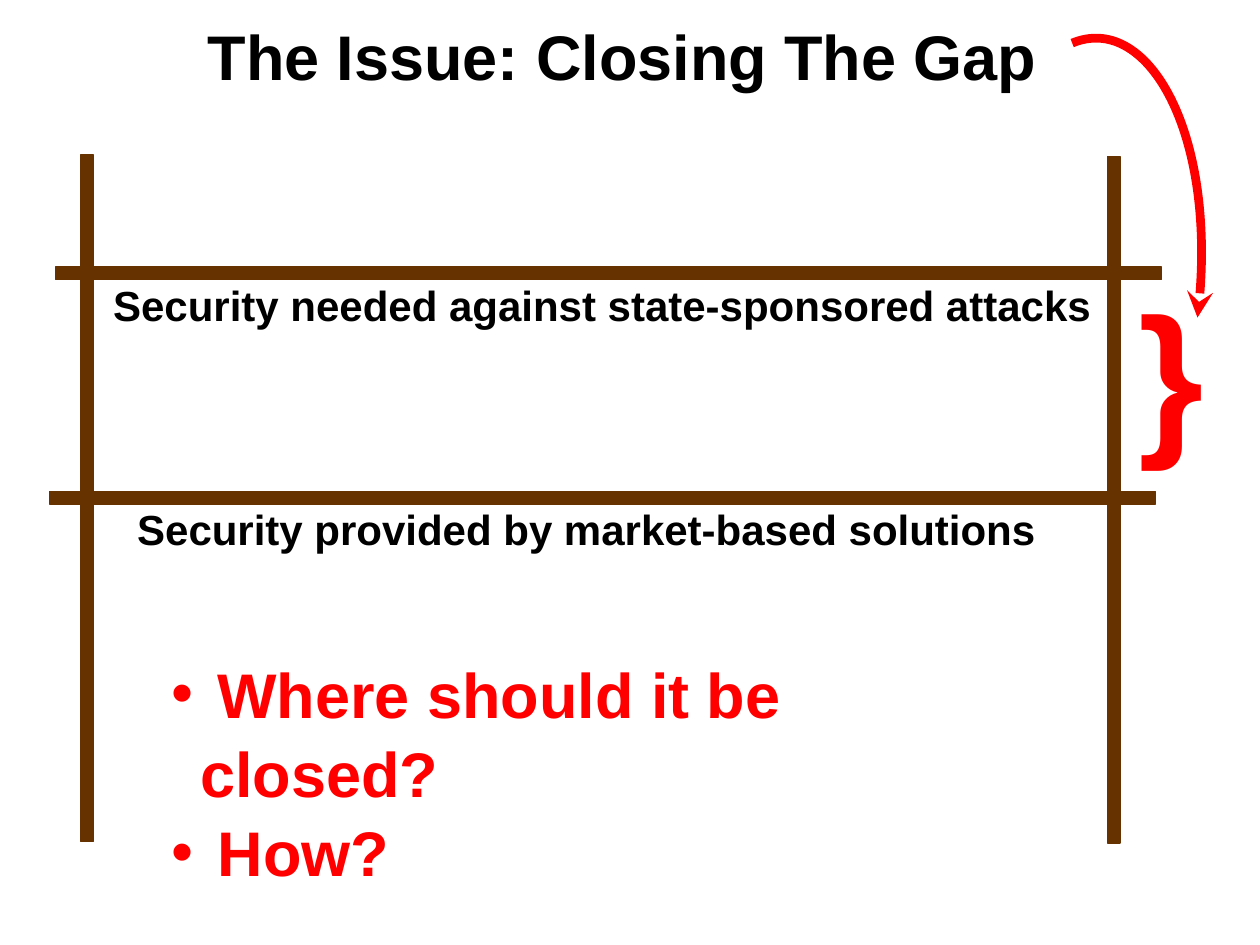
"""Build the slide on closing the security gap."""
from lxml import etree
from pptx import Presentation, util as u
from pptx.dml.color import RGBColor
from pptx.enum import shapes, text
from pptx.oxml.ns import qn

BLACK = RGBColor(0x00, 0x00, 0x00)
RED = RGBColor(0xFF, 0x00, 0x00)
BROWN = RGBColor(0x66, 0x33, 0x00)
CELL = u.Inches(0.1)
BAR = 1


def place(sp, box):
    """Set a shape to a box of grid columns and rows."""
    for name, cells in zip(("left", "top", "width", "height"), box):
        setattr(sp, name, int(cells * CELL))


def write(sp, lines, size, color, **paragraph):
    """Fill a shape with bold lines and format every paragraph."""
    tf = sp.text_frame
    tf.word_wrap = True
    tf.text = "\n".join(lines)
    for p in tf.paragraphs:
        for name, value in paragraph.items():
            setattr(p, name, value)
        r = p.runs[0]
        for name, value in {"name": "Arial", "size": u.Pt(size), "bold": True}.items():
            setattr(r.font, name, value)
        r.font.color.rgb = color
    return tf


def add_text(s, box, lines, size, color, **paragraph):
    """Add a text box at a grid box."""
    sp = s.shapes.add_textbox(0, 0, 0, 0)
    place(sp, box)
    return write(sp, lines, size, color, **paragraph)


def add_title(s, box):
    """Move and format the title placeholder."""
    sp = s.shapes.title
    place(sp, box)
    tf = write(sp, ["The Issue: Closing The Gap"], 36, BLACK,
               alignment=text.PP_ALIGN.CENTER)
    tf.vertical_anchor = text.MSO_ANCHOR.MIDDLE


def add_bar(s, box):
    """Add one brown bar of the frame."""
    sp = s.shapes.add_shape(shapes.MSO_SHAPE.RECTANGLE, 0, 0, 0, 0)
    place(sp, box)
    sp.shadow.inherit = False
    sp.fill.solid()
    sp.fill.fore_color.rgb = BROWN
    sp.line.color.rgb = BROWN
    sp.line.width = u.Pt(0.75)


def add_frame(s, box):
    """Draw two posts and two labelled beams inside the box."""
    left, top, width, height = box
    beam = width - 0.5
    levels = (
        (0.5, 8.9, 4.1, 80.3, "Security needed against state-sponsored attacks"),
        (0, 26.7, 6, 73.8, "Security provided by market-based solutions"),
    )
    for dx, dy, label_dx, label_width, label in levels:
        add_text(s, (left + label_dx, top + dy + 0.5, label_width, 5.2),
                 [label], 24, BLACK)
    for dx, dy in ((2.5, 0), (84, 0.1)):
        add_bar(s, (left + dx, top + dy, BAR, height))
    for dx, dy, *_ in levels:
        add_bar(s, (left + dx, top + dy, beam, BAR))


def add_arrow(s, box):
    """Draw a red curved arrow, its control points being shares of the box."""
    left, top, width, height = box
    start, *bends = [(int((left + x * width) * CELL), int((top + y * height) * CELL))
                     for x, y in ((0, 0.1), (0.5, 0), (1, 0.41), (0.85, 1))]
    builder = s.shapes.build_freeform(*start)
    builder.add_line_segments(bends, close=False)
    sp = builder.convert_to_shape()
    path = next(sp._element.iter(qn("a:path")))
    curve = etree.SubElement(path, qn("a:cubicBezTo"))
    for step in path.findall(qn("a:lnTo")):
        curve.append(step[0])
        path.remove(step)
    sp.shadow.inherit = False
    sp.fill.background()
    sp.line.color.rgb = RED
    sp.line.width = u.Pt(5)
    etree.SubElement(sp.line._get_or_add_ln(), qn("a:tailEnd"), type="stealth")


def add_questions(s, box):
    """Add the red bulleted questions."""
    tf = add_text(s, box, [" Where should it be closed?", " How?"], 36, RED,
                  line_spacing=1.05)
    indent = u.Inches(0.23)
    for p in tf.paragraphs:
        pr = p._p.get_or_add_pPr()
        pr.set("marL", str(indent))
        pr.set("indent", str(-indent))
        etree.SubElement(pr, qn("a:buFont"), typeface="Arial")
        etree.SubElement(pr, qn("a:buChar"), char="•")


def main():
    """Assemble and save the slide."""
    prs = Presentation()
    prs.slide_width, prs.slide_height = 100 * CELL, 75 * CELL
    s = prs.slides.add_slide(prs.slide_layouts[5])
    add_title(s, (4.4, 0.9, 90, 6.9))
    add_frame(s, (3.9, 12.3, 88.3, 54.5))
    add_text(s, (89.4, 20.8, 7.2, 17), ["}"], 96, RED)
    add_arrow(s, (85.1, 1, 11.7, 24.2))
    add_questions(s, (12.6, 51.2, 70.1, 19))
    prs.save("out.pptx")


if __name__ == "__main__":
    main()
